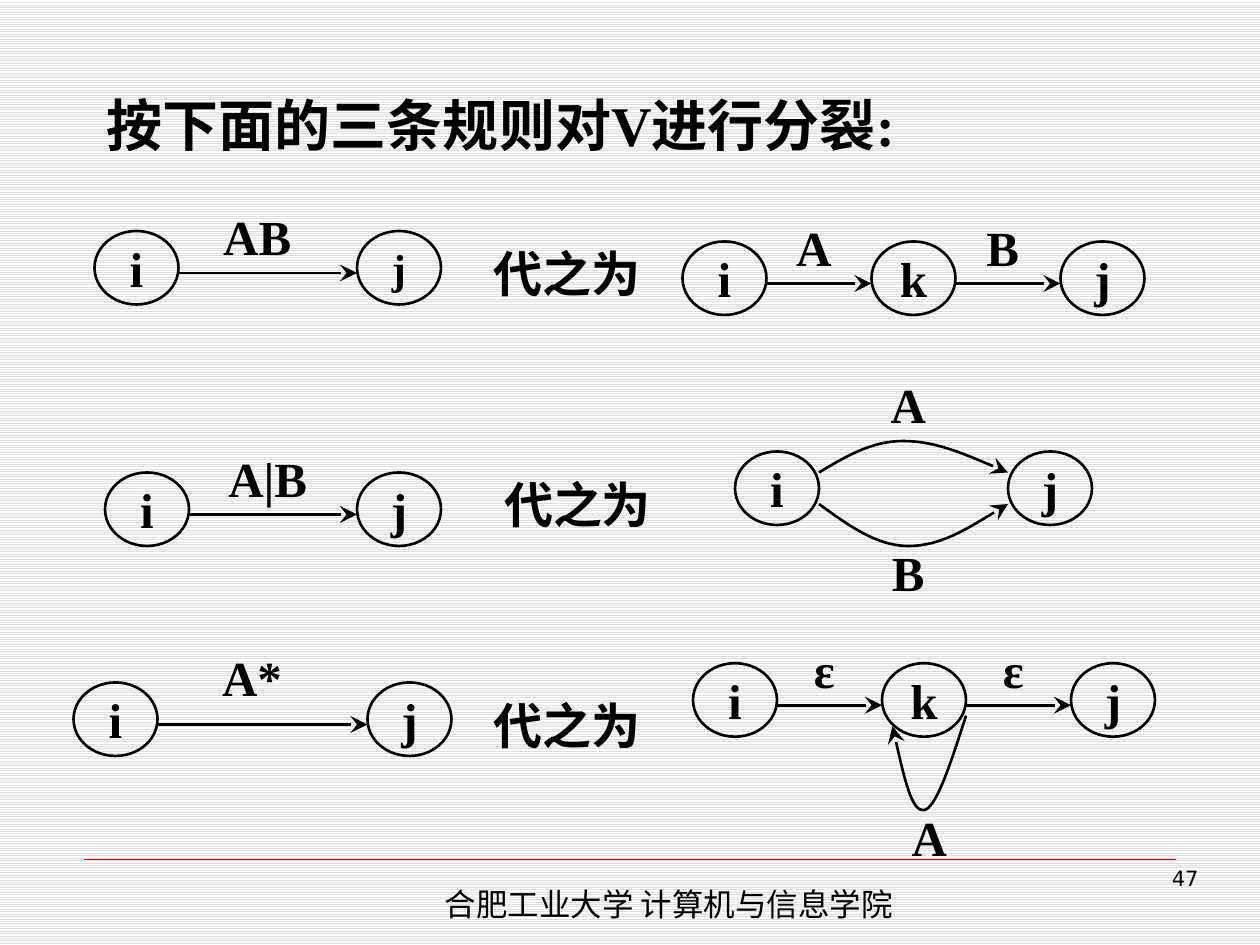
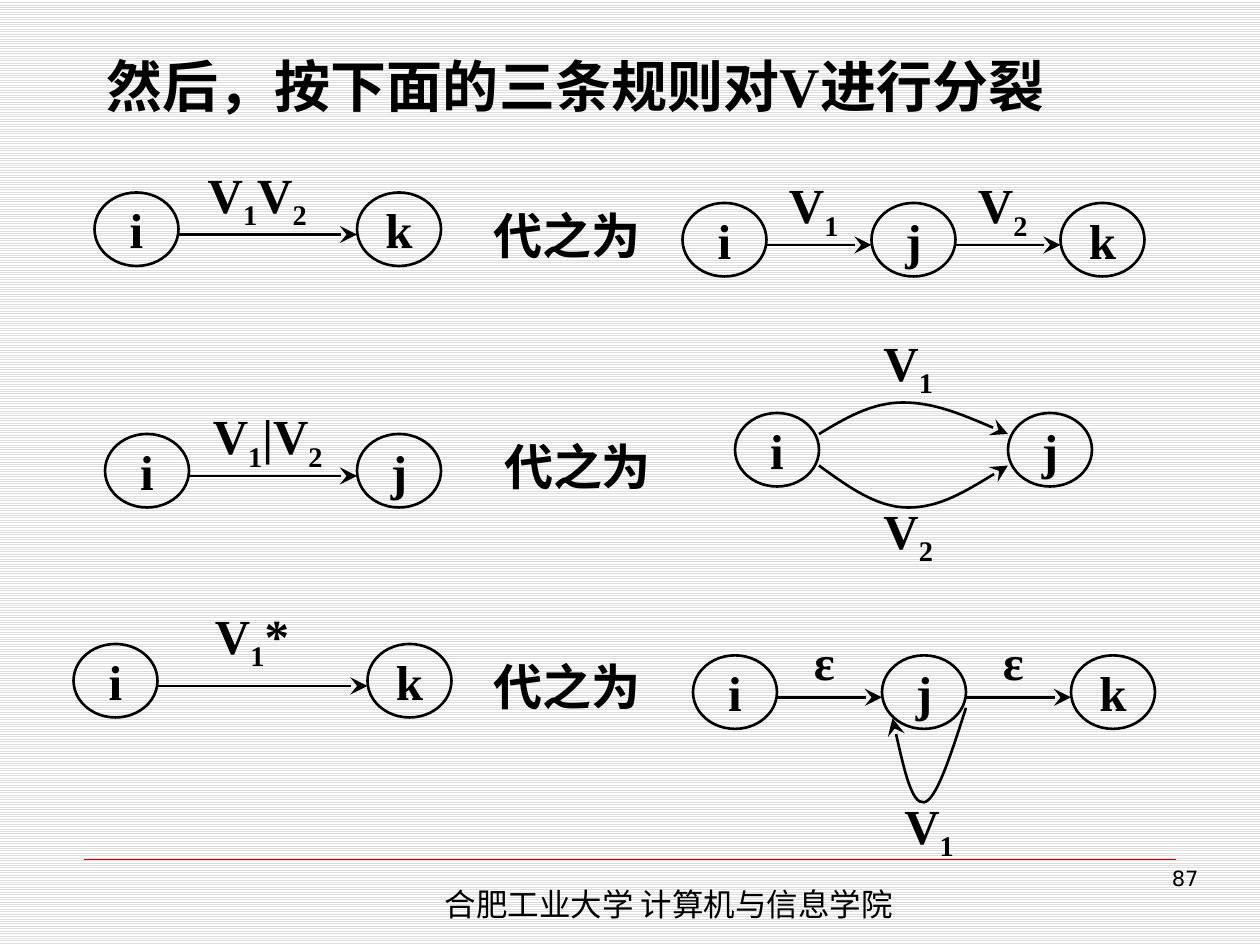
from itertools import groupby

from lxml import etree
from pptx import Presentation
from pptx.dml.color import RGBColor
from pptx.enum.dml import MSO_PATTERN
from pptx.enum.shapes import MSO_CONNECTOR, MSO_SHAPE
from pptx.enum.text import MSO_ANCHOR, PP_ALIGN
from pptx.oxml.ns import qn
from pptx.util import Pt

STRAIGHT, OVAL = MSO_CONNECTOR.STRAIGHT, MSO_SHAPE.OVAL
LEFT, CENTER, RIGHT, JUSTIFY = PP_ALIGN.LEFT, PP_ALIGN.CENTER, PP_ALIGN.RIGHT, PP_ALIGN.JUSTIFY
TOP, MIDDLE = MSO_ANCHOR.TOP, MSO_ANCHOR.MIDDLE

COLORS = {"ink": "000000", "rule": "CC0000", "stripe": "DDDDDD", "paper": "FFFFFF"}
SERIF, SANS, CJK = "Times New Roman", "DejaVu Sans", "Noto Sans CJK SC"

FOOTER = "合肥工业大学 计算机与信息学院"
REPLACED_BY = "代之为"

# Digits in edge labels are set as subscripts.
SLIDES = [
    {"title": "按下面的三条规则对V进行分裂:", "page": "47", "shift": 0, "loop_top": 379,
     "concat": ("AB", "ij", "ikj", ("A", "B")), "target_size": 24,
     "choice": ("A|B", "ij", "ij", ("A", "B")),
     "star": ("A*", "ij", "ikj", ("ε", "ε"), "A")},
    {"title": "然后，按下面的三条规则对V进行分裂", "page": "87", "shift": -22, "loop_top": 374.5,
     "concat": ("V1V2", "ik", "ijk", ("V1", "V2")), "target_size": 28,
     "choice": ("V1|V2", "ij", "ij", ("V1", "V2")),
     "star": ("V1*", "ik", "ijk", ("ε", "ε"), "V1")},
]

NODE_W, NODE_H = 48, 42
LABEL_W = 66
ARROW_DROP = 24      # from the top of a node to its arrow
LABEL_RISE = 18      # from the top of a node up to the edge label
CHAIN_STEP = 108

# Bezier points, measured from the top left of the node where the curve starts
UPPER_ARC = [(48, 12), (63, 3), (78, -6), (96, -6), (114, -6), (135, 3), (156, 12)]
LOWER_ARC = [(48, 30), (64.5, 42), (81, 54), (99, 54), (117, 54), (136.5, 42), (156, 30)]
LOOP = [(48, 30), (39.5, 56.5), (31, 83), (24, 84), (17, 85), (11.5, 60.5), (6, 36)]


def color(name):
    return RGBColor.from_string(COLORS[name])


def write(shape, runs, size=28, font=SERIF, bold=True, align=CENTER, anchor=MIDDLE, wrap=False):
    """Fill a shape with one paragraph; runs are (text, is_subscript) pairs."""
    frame = shape.text_frame
    frame.word_wrap = wrap
    if not wrap:
        frame.margin_left = frame.margin_right = 0
    frame.vertical_anchor = anchor
    paragraph = frame.paragraphs[0]
    paragraph.alignment = align
    for text, subscript in runs:
        run = paragraph.add_run()
        run.text = text
        run.font.size = Pt(size)
        run.font.bold = bold
        run.font.name = font
        run.font.color.rgb = color("ink")
        properties = run.font._element
        etree.SubElement(properties, qn("a:ea")).set("typeface", CJK)
        if subscript:
            properties.set("baseline", "-25000")


def add_text(slide, box, text, **style):
    write(slide.shapes.add_textbox(*map(Pt, box)), [(text, False)], **style)


def add_label(slide, x, y, label, width=LABEL_W):
    box = slide.shapes.add_textbox(Pt(x), Pt(y), Pt(width), Pt(NODE_H))
    write(box, [("".join(chars), digit) for digit, chars in groupby(label, str.isdigit)])


def add_node(slide, x, y, state, size=28):
    node = slide.shapes.add_shape(OVAL, Pt(x), Pt(y), Pt(NODE_W), Pt(NODE_H))
    node.shadow.inherit = False
    node.fill.background()
    node.line.color.rgb = color("ink")
    node.line.width = Pt(1.5)
    write(node, [(state, False)], size=size)


def add_line(slide, start, end, tint, width):
    line = slide.shapes.add_connector(STRAIGHT, *map(Pt, start + end))
    line.line.color.rgb = color(tint)
    line.line.width = Pt(width)
    etree.SubElement(line.element.spPr, qn("a:effectLst"))
    return line


def point_tail(shape):
    outline = shape.element.spPr.find(qn("a:ln"))
    head = etree.SubElement(outline, qn("a:tailEnd"))
    for key, value in (("type", "stealth"), ("w", "lg"), ("len", "lg")):
        head.set(key, value)


def add_arrow(slide, x1, x2, node_y):
    y = node_y + ARROW_DROP
    point_tail(add_line(slide, (x1, y), (x2, y), "ink", 1.5))


def add_curve(slide, x, y, points):
    """Draw an arrow through cubic Bezier points offset from (x, y)."""
    corners = [(Pt(x + dx), Pt(y + dy)) for dx, dy in points]
    builder = slide.shapes.build_freeform(*corners[0])
    builder.add_line_segments(corners[1:], close=False)
    curve = builder.convert_to_shape()
    outline = next(curve.element.iter(qn("a:path")))
    segments = outline.findall(qn("a:lnTo"))
    for i in range(0, len(segments), 3):
        bezier = etree.SubElement(outline, qn("a:cubicBezTo"))
        for segment in segments[i:i + 3]:
            bezier.append(segment[0])
            outline.remove(segment)
    curve.shadow.inherit = False
    curve.fill.background()
    curve.line.color.rgb = color("ink")
    curve.line.width = Pt(1.5)
    point_tail(curve)


def add_edge(slide, x1, x2, y, states, label, label_x, label_w=LABEL_W,
             rise=LABEL_RISE, target_size=28):
    """Two nodes joined by one labelled arrow."""
    add_node(slide, x1, y, states[0])
    add_node(slide, x2, y, states[1], target_size)
    add_arrow(slide, x1 + NODE_W, x2, y)
    add_label(slide, label_x, y - rise, label, label_w)


def add_chain(slide, x, y, states, labels):
    for i, state in enumerate(states):
        add_node(slide, x + i * CHAIN_STEP, y, state)
    for i, label in enumerate(labels):
        left = x + i * CHAIN_STEP
        add_arrow(slide, left + NODE_W, left + CHAIN_STEP, y)
        add_label(slide, left + 42, y - LABEL_RISE, label)


def add_fork(slide, x, y, states, labels):
    for node_x, state in zip((x, x + 156), states):
        add_node(slide, node_x, y, state)
    for arc, label_y, label in zip((UPPER_ARC, LOWER_ARC), (y - 48, y + 48), labels):
        add_curve(slide, x, y, arc)
        add_label(slide, x + 66, label_y, label)


def add_frame(slide, title, title_y, page):
    """Title, footer rule, footer and page number."""
    add_line(slide, (48, 491), (672, 491), "rule", 0.25)
    add_text(slide, (247, 502, 340, 29), FOOTER, size=18, font=CJK, bold=False,
             align=LEFT, anchor=TOP, wrap=True)
    add_text(slide, (536, 491, 156, 37.5), page, size=12, font=SANS, bold=False,
             align=RIGHT, anchor=TOP, wrap=True)
    add_text(slide, (54, title_y, 612, 54), title, size=32, align=JUSTIFY,
             anchor=TOP, wrap=True)


def build_slide(slide, content):
    shift = content["shift"]
    add_frame(slide, content["title"], 48 + shift, content["page"])
    for x, y in ((279, 132), (285, 264), (279, 390)):
        add_text(slide, (x, y + shift, 90, 48), REPLACED_BY)

    label, ends, states, parts = content["concat"]
    add_edge(slide, 54, 204, 132 + shift, ends, label, 114,
             target_size=content["target_size"])
    add_chain(slide, 390, 138 + shift, states, parts)

    label, ends, states, parts = content["choice"]
    add_edge(slide, 60, 204, 270 + shift, ends, label, 120)
    add_fork(slide, 420, 258 + shift, states, parts)

    label, ends, states, parts, repeated = content["star"]
    add_edge(slide, 42, 210, 390 + shift, ends, label, 102, label_w=84, rise=24)
    chain_x, chain_y = 396, content["loop_top"]
    add_chain(slide, chain_x, chain_y, states, parts)
    loop_x = chain_x + CHAIN_STEP
    add_curve(slide, loop_x, chain_y, LOOP)
    add_label(slide, loop_x - 6, chain_y + 78, repeated)


def main():
    deck = Presentation()
    deck.slide_width, deck.slide_height = Pt(720), Pt(540)
    blank = deck.slide_layouts[6]
    for content in SLIDES:
        slide = deck.slides.add_slide(blank)
        fill = slide.background.fill
        fill.patterned()
        fill.pattern = MSO_PATTERN.LIGHT_HORIZONTAL
        fill.fore_color.rgb = color("stripe")
        fill.back_color.rgb = color("paper")
        build_slide(slide, content)
    deck.save("out.pptx")


if __name__ == "__main__":
    main()
